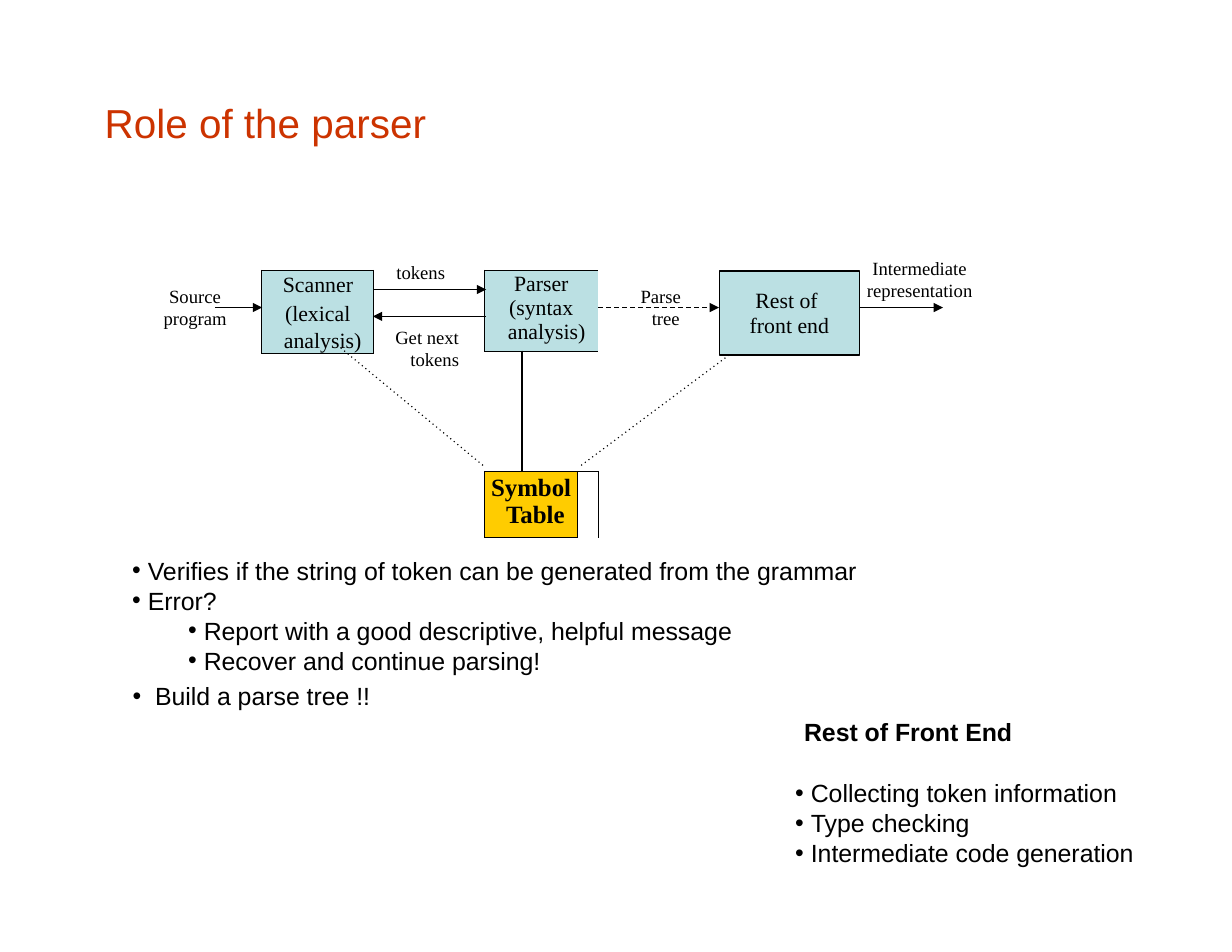
"""Build the "Role of the parser" slide: compiler front end diagram and notes."""
from typing import NamedTuple, Optional

from lxml.etree import SubElement
from pptx import Presentation
from pptx.dml.color import RGBColor
from pptx.enum.shapes import MSO_CONNECTOR as CONN, MSO_SHAPE as SHAPE
from pptx.enum.text import MSO_ANCHOR as ANCHOR, MSO_AUTO_SIZE as AUTO, PP_ALIGN as ALIGN
from pptx.oxml.ns import qn
from pptx.util import Emu, Inches, Pt

COLS, ROWS = 110, 85
WIDTH, HEIGHT = Inches(11), Inches(8.5)
BLACK = RGBColor(0x00, 0x00, 0x00)
RED = RGBColor(0xCC, 0x33, 0x00)
TEAL = RGBColor(0xBB, 0xE0, 0xE3)
GOLD = RGBColor(0xFF, 0xCC, 0x00)
SERIF, SANS = "Times New Roman", "Arial"
PLAIN_STYLE = "{2D5ABB26-0587-4C30-8999-92F81FD0307C}"


class Area(NamedTuple):
    col: float
    row: float
    cols: float
    rows: float


class Line(NamedTuple):
    text: str
    margin: float = 0.0
    hang: float = 0.0
    before: float = 0.0
    bullet: bool = False
    bold: bool = False


class Cell(NamedTuple):
    row: int
    first: int
    last: int
    borders: dict[str, float]
    lines: list[Line] = []
    fill: Optional[RGBColor] = None
    size: float = 14
    pitch: float = 15.5
    top: float = 0.0


class Grid(NamedTuple):
    col: float
    row: float
    widths: list[float]
    heights: list[float]
    cells: list[Cell]


class Label(NamedTuple):
    area: Area
    lines: list[Line]
    size: float = 12
    font: str = SERIF


class Link(NamedTuple):
    start: tuple[float, float]
    end: tuple[float, float]
    dash: str = "solid"
    arrow: bool = True


THIN, THICK = 0.75, 1.5
FRAME = dict.fromkeys("LRTB", THIN)
GRIDS = [
    Grid(23.35, 24.15, [10], [2.6, 2.4, 2.4], [
        Cell(0, 0, 0, dict.fromkeys("LRT", THIN), [Line("Scanner", 1.9)], TEAL, pitch=17),
        Cell(1, 0, 0, dict.fromkeys("LR", THIN), [Line("(lexical", 2.1)], TEAL, pitch=17),
        Cell(2, 0, 0, dict.fromkeys("LRB", THIN), [Line("analysis)", 2)], TEAL, pitch=17),
    ]),
    Grid(43.3, 24.15, [3.3, 5, 1.8], [7.2, 10.75, 5.9], [
        Cell(0, 0, 2, FRAME, [Line("Parser", 2.6), Line("(syntax\nanalysis)", 2.05, -0.1)],
             TEAL, top=0.1),
        Cell(1, 0, 0, {"R": THICK, "T": THIN, "B": THIN}),
        Cell(1, 1, 2, {"L": THICK, "T": THIN}),
        Cell(2, 0, 1, FRAME, [Line("Symbol\nTable", 1.9, 1.35, bold=True)],
             GOLD, 16, 17.5, 0.25),
        Cell(2, 2, 2, {"L": THIN}),
    ]),
]
REST = Area(64.24, 24.2, 12.5, 7.5)
LINKS = [
    Link((19.2, 27.46), (23.4, 27.46)),
    Link((33.4, 25.85), (43.4, 25.85)),
    Link((43.4, 28.25), (33.3, 28.25)),
    Link((53.4, 27.46), (64.2, 27.46), "dash"),
    Link((76.7, 27.46), (84.2, 27.46)),
    Link((30.1, 30.8), (43.3, 41.7), "dot", False),
    Link((65.1, 31.7), (51.7, 41.7), "dot", False),
]
LABELS = [
    Label(Area(14.5, 25.3, 5.9, 4.3), [Line("Source\nprogram", 0.1, -0.5)]),
    Label(Area(35.3, 23.2, 4.6, 2.3), [Line("tokens", 0.1)]),
    Label(Area(57.1, 25.3, 3.9, 4.3), [Line("Parse\ntree", 1.1, 1)]),
    Label(Area(77.3, 22.8, 9.8, 4.3), [Line("Intermediate\nrepresentation", 0.1, -0.5)]),
    Label(Area(35.2, 29, 6, 4.3), [Line("Get next\ntokens", 1.45, 1.35)]),
    Label(Area(11.7, 49.5, 89.7, 27), [
        Line("Verifies if the string of token can be generated from the grammar",
             1.5, 1.4, 0, True),
        Line("Error?", 1.5, 1.4, 0.1, True),
        Line("Report with a good descriptive, helpful message", 6.5, 1.4, 0.1, True),
        Line("Recover and continue parsing!", 6.5, 1.4, 0.1, True),
        Line("Build a parse tree !!", 2.15, 2, 3.5, True),
        Line("Rest of Front End", 60.1, 0, 4, bold=True),
        Line("Collecting token information", 60.7, 1.4, 20, True),
        Line("Type checking", 60.7, 1.4, 0.1, True),
        Line("Intermediate code generation", 60.7, 1.4, 0.1, True),
    ], 16, SANS),
]


def x(cols: float) -> Emu:
    """Convert grid columns to a length."""
    return Emu(round(WIDTH * cols / COLS))


def y(rows: float) -> Emu:
    """Convert grid rows to a length."""
    return Emu(round(HEIGHT * rows / ROWS))


def frame(area: Area) -> tuple[Emu, Emu, Emu, Emu]:
    """Convert a grid area to left, top, width and height."""
    return x(area.col), y(area.row), x(area.cols), y(area.rows)


def write(tf, lines: list[Line], font: str, size: float, color: RGBColor = BLACK,
          pitch: Optional[float] = None) -> None:
    """Add one left-aligned paragraph per line, broken at its newlines."""
    for i, line in enumerate(lines):
        p = tf.paragraphs[0] if i == 0 else tf.add_paragraph()
        p.alignment, p.space_before = ALIGN.LEFT, Pt(line.before)
        if pitch:
            p.line_spacing = Pt(pitch)
        props = p._p.get_or_add_pPr()
        props.set("marL", str(x(line.margin)))
        props.set("indent", str(-x(line.hang)))
        if line.bullet:
            SubElement(props, qn("a:buFont"), typeface=font)
            SubElement(props, qn("a:buChar"), char="•")
        for j, part in enumerate(line.text.split("\n")):
            if j:
                p.add_line_break()
            r = p.add_run()
            r.text = part
            r.font.name, r.font.size, r.font.bold = font, Pt(size), line.bold
            r.font.color.rgb = color


def set_frame(tf, top: float) -> None:
    """Give a shape's text fixed, top-anchored, unpadded settings."""
    tf.auto_size, tf.word_wrap, tf.vertical_anchor = AUTO.NONE, True, ANCHOR.TOP
    tf.margin_left = tf.margin_right = tf.margin_bottom = 0
    tf.margin_top = y(top)


def add_grid(s, grid: Grid) -> None:
    """Draw a table of stages with its own borders and fills."""
    area = Area(grid.col, grid.row, sum(grid.widths), sum(grid.heights))
    tbl = s.shapes.add_table(len(grid.heights), len(grid.widths), *frame(area)).table
    tbl.first_row = tbl.horz_banding = False
    tbl._tbl.tblPr.find(qn("a:tableStyleId")).text = PLAIN_STYLE
    for column, width in zip(tbl.columns, grid.widths):
        column.width = x(width)
    for row, height in zip(tbl.rows, grid.heights):
        row.height = y(height)
    for cell in grid.cells:
        for col in range(cell.first, cell.last + 1):
            tc = tbl.cell(cell.row, col)
            tc.margin_left = tc.margin_right = tc.margin_bottom = 0
            tc.margin_top = y(cell.top)
            for side, width in cell.borders.items():
                if (side == "L" and col > cell.first) or (side == "R" and col < cell.last):
                    continue
                ln = SubElement(tc._tc.get_or_add_tcPr(), qn(f"a:ln{side}"), w=str(Pt(width)))
                SubElement(SubElement(ln, qn("a:solidFill")), qn("a:srgbClr"), val=str(BLACK))
            if cell.fill is None:
                tc.fill.background()
            else:
                tc.fill.solid()
                tc.fill.fore_color.rgb = cell.fill
        start = tbl.cell(cell.row, cell.first)
        if cell.last > cell.first:
            start.merge(tbl.cell(cell.row, cell.last))
        write(start.text_frame, cell.lines, SERIF, cell.size, pitch=cell.pitch)


def add_rest(s) -> None:
    """Draw the box for the rest of the front end."""
    sp = s.shapes.add_shape(SHAPE.RECTANGLE, *frame(REST))
    sp.shadow.inherit = False
    sp.fill.solid()
    sp.fill.fore_color.rgb = TEAL
    sp.line.color.rgb, sp.line.width = BLACK, Pt(THIN)
    set_frame(sp.text_frame, 1.4)
    write(sp.text_frame, [Line("Rest of\nfront end", 2.7, -0.5)], SERIF, 14, pitch=16.5)


def add_link(s, link: Link) -> None:
    """Draw a straight link, with an arrowhead if it has a direction."""
    (x1, y1), (x2, y2) = link.start, link.end
    cxn = s.shapes.add_connector(CONN.STRAIGHT, x(x1), y(y1), x(x2), y(y2))
    cxn.line.color.rgb, cxn.line.width = BLACK, Pt(THIN)
    ln = cxn.line._get_or_add_ln()
    SubElement(ln, qn("a:prstDash"), val=link.dash)
    if link.arrow:
        SubElement(ln, qn("a:tailEnd"), type="triangle")
    SubElement(cxn._element.spPr, qn("a:effectLst"))


def main() -> None:
    """Assemble and save the slide."""
    prs = Presentation()
    prs.slide_width, prs.slide_height = WIDTH, HEIGHT
    s = prs.slides.add_slide(prs.slide_layouts[5])
    title = s.shapes.title
    title.left, title.top, title.width, title.height = frame(Area(9.25, 8.65, 29, 4.6))
    set_frame(title.text_frame, 0.1)
    write(title.text_frame, [Line("Role of the parser", 0.1)], SANS, 26, RED)
    for grid in GRIDS:
        add_grid(s, grid)
    add_rest(s)
    for link in LINKS:
        add_link(s, link)
    for label in LABELS:
        sp = s.shapes.add_textbox(*frame(label.area))
        set_frame(sp.text_frame, 0.1)
        write(sp.text_frame, label.lines, label.font, label.size)
    prs.save("out.pptx")


if __name__ == "__main__":
    main()
